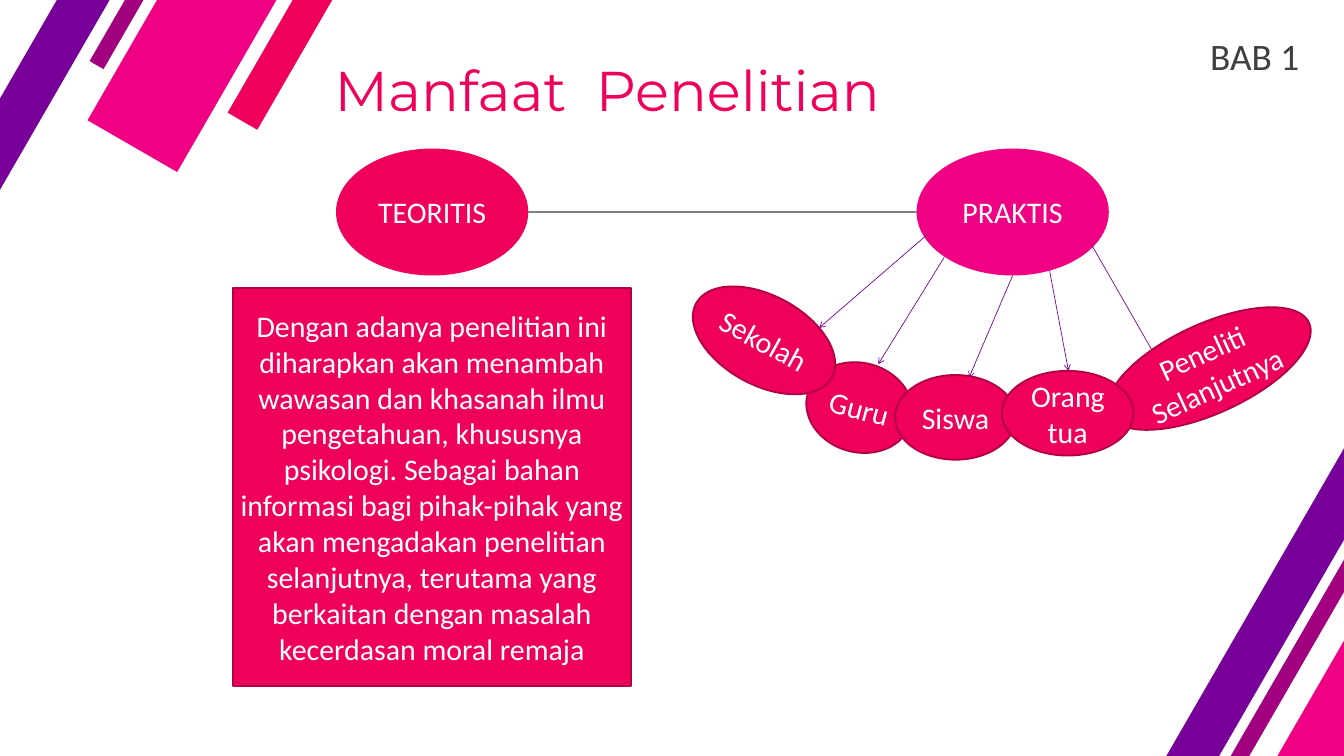
from lxml import etree
from pptx import Presentation
from pptx.dml.color import RGBColor
from pptx.enum import shapes, text
from pptx.oxml import ns
from pptx.util import Pt

COLORS = {
    "red": "EF005A", "pink": "F00082", "plum": "A1007E", "purple": "770099",
    "border": "B10043", "gray": "808080", "dark": "3F3F3F", "white": "FFFFFF",
}
RECTANGLE = shapes.MSO_SHAPE.RECTANGLE
OVAL = shapes.MSO_SHAPE.OVAL

presentation = Presentation()
presentation.slide_width, presentation.slide_height = Pt(1440), Pt(810)
slide = presentation.slides.add_slide(presentation.slide_layouts[5])


def set_text(shape, words, size, color, font="Calibri", align=text.PP_ALIGN.CENTER):
    frame = shape.text_frame
    frame.text = words
    frame.word_wrap = True
    paragraph = frame.paragraphs[0]
    paragraph.alignment = align
    paragraph.font.size = Pt(size)
    paragraph.font.name = font
    paragraph.font.color.rgb = RGBColor.from_string(COLORS[color])
    return frame


def add_block(kind, box, fill, rotation=0, words="", border=False):
    shape = slide.shapes.add_shape(kind, *map(Pt, box))
    shape.shadow.inherit = False
    shape.rotation = rotation
    shape.fill.solid()
    shape.fill.fore_color.rgb = RGBColor.from_string(COLORS[fill])
    if border:
        shape.line.color.rgb = RGBColor.from_string(COLORS["border"])
        shape.line.width = Pt(2)
    else:
        shape.line.fill.background()
    if words:
        set_text(shape, words, 32, "white").vertical_anchor = text.MSO_ANCHOR.MIDDLE
    return shape


stripes = [
    ((-102.2, -515.5, 1448, 36.7), "red"),
    ((-219.6, -524.9, 1445.8, 110.9), "pink"),
    ((-258.5, -565.9, 1448, 17.3), "plum"),
    ((-419.8, -393.8, 1444.3, 49), "purple"),
    ((985, 277.9, 1445.8, 110.9), "pink"),
    ((928.8, 239.8, 1448, 17.3), "plum"),
    ((771.1, 412.6, 1444.3, 49), "purple"),
]
for box, color in stripes:
    add_block(RECTANGLE, box, color, 300)

title = slide.shapes.title
title.left, title.top, title.width, title.height = map(Pt, (345.6, 56.9, 1077, 77.8))
title_frame = set_text(title, "Manfaat  Penelitian", 60, "red", "Montserrat", text.PP_ALIGN.LEFT)
title_frame.auto_size = text.MSO_AUTO_SIZE.NONE
title_frame.vertical_anchor = text.MSO_ANCHOR.MIDDLE
title_frame.margin_left = title_frame.margin_right = Pt(13)
title_frame.margin_top = title_frame.margin_bottom = Pt(6.5)

for left, color, words in [(360, "red", "TEORITIS"), (982, "pink", "PRAKTIS")]:
    heading = add_block(OVAL, (left, 159.2, 206, 136), color, words=words)
    heading.text_frame.word_wrap = False

add_block(
    RECTANGLE, (249.6, 308.3, 426.5, 426.5), "red", border=True,
    words="Dengan adanya penelitian ini diharapkan akan menambah wawasan dan khasanah "
    "ilmu pengetahuan, khususnya psikologi. Sebagai bahan informasi bagi pihak-pihak yang "
    "akan mengadakan penelitian selanjutnya, terutama yang berkaitan dengan masalah "
    "kecerdasan moral remaja",
)

links = [
    ((982, 227.3, 566, 227.3), "gray", 2.25, False),
    ((994.3, 250.6, 877.7, 351.4), "purple", 0.75, True),
    ((1085, 295.2, 1038.2, 404.6), "purple", 0.75, True),
    ((1011.6, 275.8, 941, 390.2), "purple", 0.75, True),
    ((1124.6, 290.2, 1144.8, 397.4), "purple", 0.75, True),
    ((1168.6, 260.6, 1238.4, 382.3), "purple", 0.75, True),
]
for ends, color, width, has_arrow in links:
    link = slide.shapes.add_connector(shapes.MSO_CONNECTOR.STRAIGHT, *map(Pt, ends))
    link.line.color.rgb = RGBColor.from_string(COLORS[color])
    link.line.width = Pt(width)
    if has_arrow:
        etree.SubElement(link.line._get_or_add_ln(), ns.qn("a:tailEnd"), type="arrow")
    etree.SubElement(link._element.spPr, ns.qn("a:effectLst"))

beneficiaries = [
    ("Peneliti Selanjutnya", (1177.9, 347, 235.4, 95.8), 335.3),
    ("Guru", (863.3, 388.8, 115.2, 95.8), 15.1),
    ("Siswa", (959, 401.8, 129.6, 90.7), 0),
    ("Orangtua", (1073.5, 397.4, 141.1, 90.7), 0),
    ("Sekolah", (735.8, 316.8, 165.6, 95.8), 28.6),
]
for words, box, rotation in beneficiaries:
    add_block(OVAL, box, "red", rotation, words, border=True)

chapter = slide.shapes.add_textbox(*map(Pt, (1289.5, 32.4, 133.9, 55.4)))
chapter_frame = set_text(chapter, "BAB 1", 40, "dark", align=text.PP_ALIGN.LEFT)
chapter_frame.auto_size = text.MSO_AUTO_SIZE.SHAPE_TO_FIT_TEXT

presentation.save("out.pptx")
